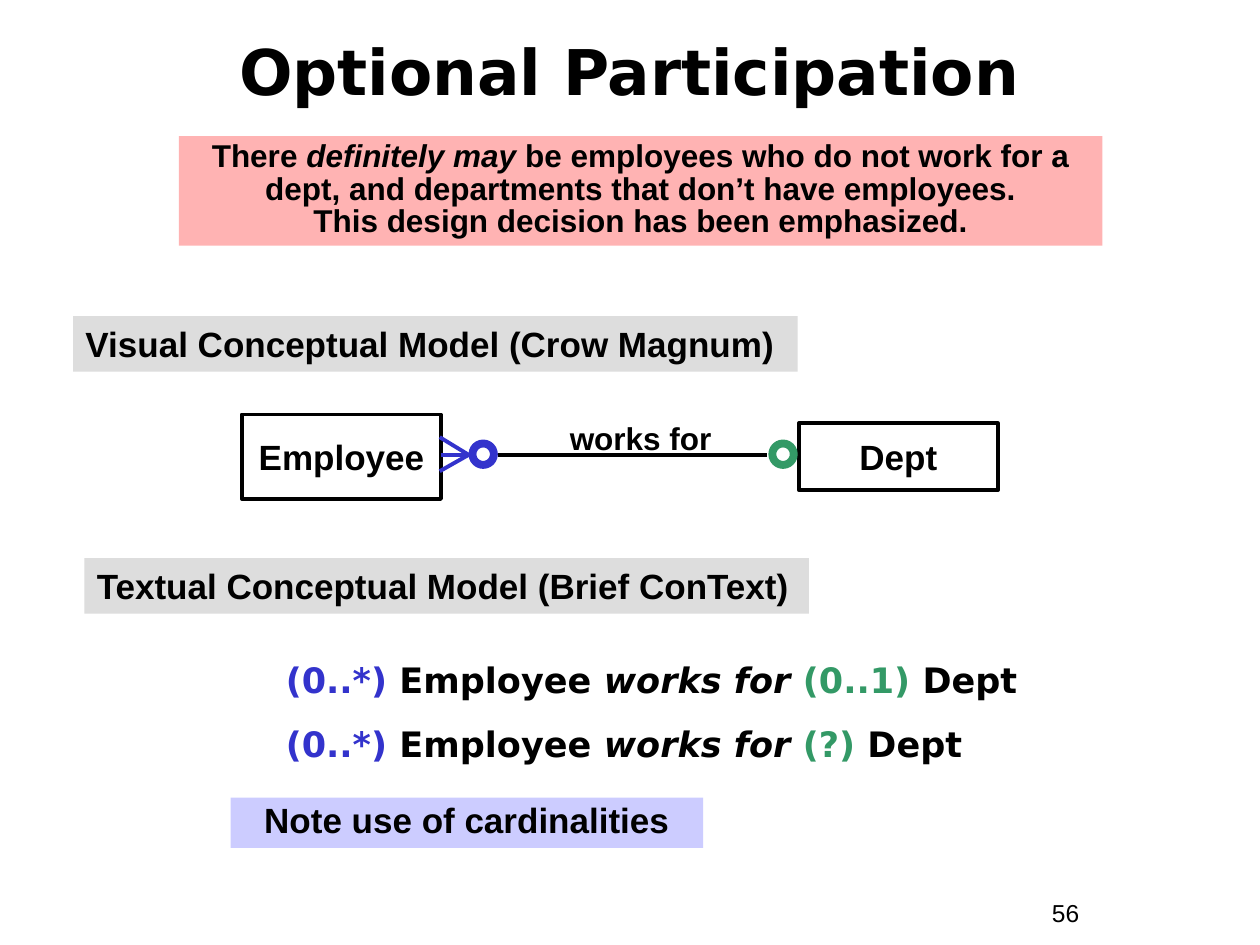
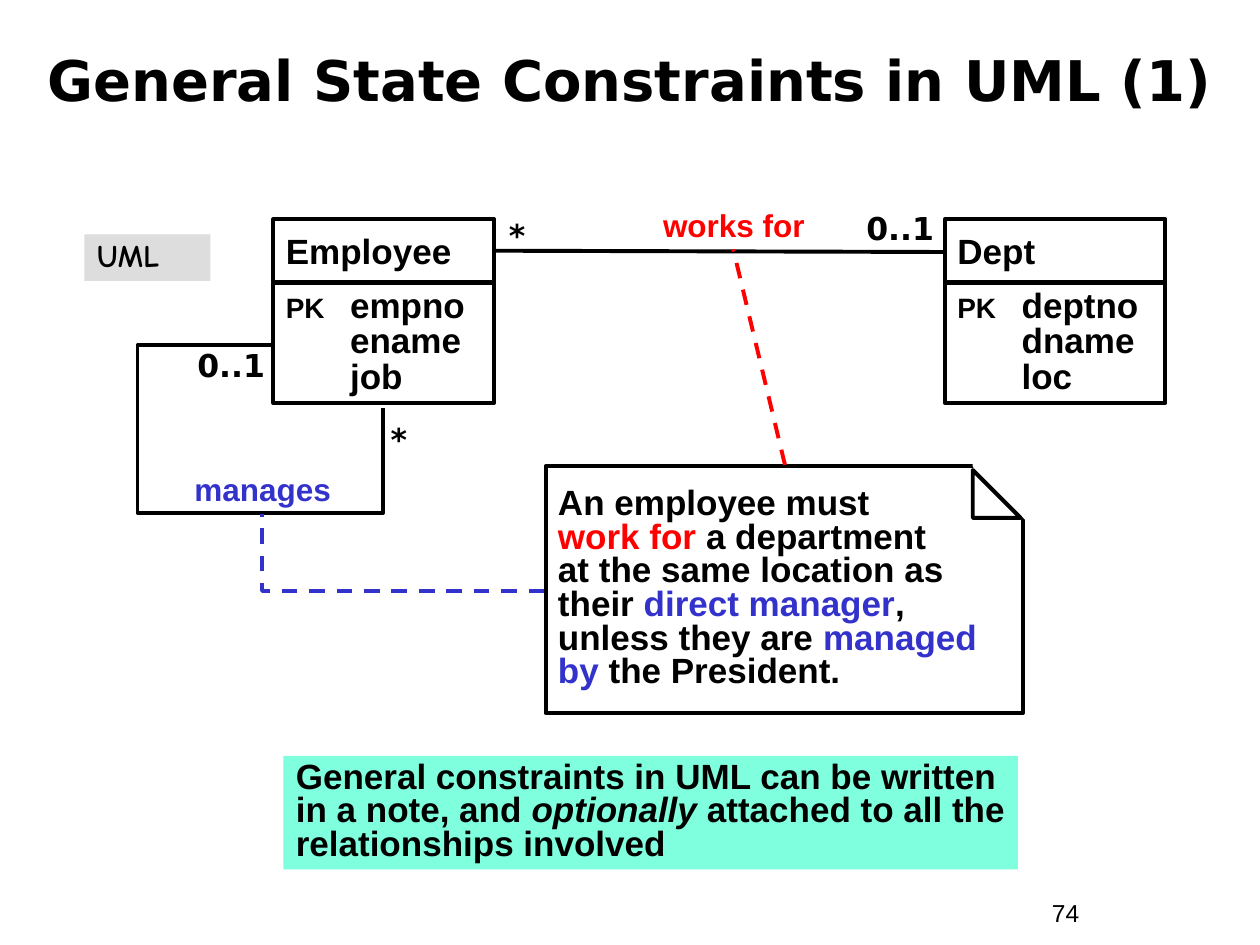
from dataclasses import dataclass

from lxml import etree
from pptx import Presentation
from pptx.dml.color import RGBColor
from pptx.enum.dml import MSO_LINE
from pptx.enum.shapes import MSO_CONNECTOR, MSO_SHAPE
from pptx.enum.text import MSO_ANCHOR, MSO_AUTO_SIZE, PP_ALIGN
from pptx.oxml.ns import qn
from pptx.util import Inches, Pt


@dataclass(frozen=True)
class Theme:
    black: str = "000000"
    white: str = "FFFFFF"
    red: str = "FF0000"
    blue: str = "3333CC"
    green: str = "339966"
    grey_band: str = "DDDDDD"
    pink_band: str = "FFB3B3"
    lilac_band: str = "CCCCFF"
    mint_band: str = "7FFFDD"
    sans: str = "Arial"
    display: str = "DejaVu Sans"
    hand: str = "Comic Neue"
    title: int = 36
    long_title: int = 32
    body: int = 20
    label: int = 18
    key: int = 16
    footer: int = 14
    stroke: float = 2.25
    ring: float = 4.5
    mask: float = 6


THEME = Theme()
ITALIC = {"italic": True}
RED = {"color": THEME.red}
BLUE = {"color": THEME.blue}
GREEN = {"color": THEME.green}


class SlideBuilder:
    def __init__(self, theme):
        self.theme = theme
        self.deck = Presentation()
        self.deck.slide_width, self.deck.slide_height = Inches(10), Inches(7.5)
        self.slide = None

    def start(self, title, number, box, size):
        self.slide = self.deck.slides.add_slide(self.deck.slide_layouts[5])
        heading = self.slide.shapes.title
        for side, value in zip(("left", "top", "width", "height"), box):
            setattr(heading, side, Inches(value))
        self.fill_text(heading, [[title]], size=size, font=self.theme.display,
                       align=PP_ALIGN.CENTER, anchor=MSO_ANCHOR.MIDDLE)
        self.text((8.25, 7.08, 0.92, 0.34), [[str(number)]],
                  size=self.theme.footer, bold=False)

    def fill_text(self, holder, paragraphs, size=None, font=None, color=None,
                  bold=True, align=PP_ALIGN.LEFT, anchor=MSO_ANCHOR.TOP,
                  spacing=1.0, gap=0, tab=None):
        """Each paragraph is a list of runs: a string, or (string, overrides)."""
        frame = holder.text_frame
        frame_format = {
            "word_wrap": True, "auto_size": MSO_AUTO_SIZE.NONE,
            "vertical_anchor": anchor,
            "margin_left": Inches(0.1), "margin_right": Inches(0.1),
            "margin_top": Inches(0.05), "margin_bottom": Inches(0.05),
        }
        for name, value in frame_format.items():
            setattr(frame, name, value)
        base = {"size": size or self.theme.body, "bold": bold, "italic": False,
                "name": font or self.theme.sans,
                "color": color or self.theme.black}
        for index, runs in enumerate(paragraphs):
            paragraph = frame.add_paragraph() if index else frame.paragraphs[0]
            paragraph.alignment = align
            paragraph.line_spacing = spacing
            paragraph.space_before = Pt(gap if index else 0)
            if tab:
                stops = etree.SubElement(paragraph._p.get_or_add_pPr(), qn("a:tabLst"))
                etree.SubElement(stops, qn("a:tab"), pos=str(Inches(tab)), algn="l")
            for run in runs:
                words, changes = (run, {}) if isinstance(run, str) else run
                self.add_run(paragraph, words, {**base, **changes})

    def add_run(self, paragraph, words, style):
        for index, line in enumerate(words.split("\n")):
            if index:
                paragraph.add_line_break()
            if not line:
                continue
            run = paragraph.add_run()
            run.text = line
            for name, value in style.items():
                if name == "color":
                    run.font.color.rgb = RGBColor.from_string(value)
                else:
                    setattr(run.font, name, Pt(value) if name == "size" else value)

    def text(self, box, paragraphs, **style):
        holder = self.slide.shapes.add_textbox(*map(Inches, box))
        self.fill_text(holder, paragraphs, **style)

    def label(self, box, words, **style):
        self.text(box, [[words]], **{"size": self.theme.label,
                                     "align": PP_ALIGN.CENTER, **style})

    def shape(self, box, paragraphs=None, kind=MSO_SHAPE.RECTANGLE, fill=None,
              line=None, weight=None, **style):
        shape = self.slide.shapes.add_shape(kind, *map(Inches, box))
        shape.shadow.inherit = False
        if fill:
            shape.fill.solid()
            shape.fill.fore_color.rgb = RGBColor.from_string(fill)
        else:
            shape.fill.background()
        if line:
            shape.line.color.rgb = RGBColor.from_string(line)
            shape.line.width = Pt(weight or self.theme.stroke)
        else:
            shape.line.fill.background()
        if paragraphs:
            self.fill_text(shape, paragraphs, **style)
        return shape

    def entity(self, box, name, **style):
        self.shape(box, [[name]], line=self.theme.black,
                   anchor=MSO_ANCHOR.MIDDLE, **style)

    def class_box(self, left, name, attributes):
        self.entity((left, 1.74, 1.75, 0.5), name)
        rows = [["\t" + attribute] for attribute in attributes]
        rows[0].insert(0, ("PK", {"size": self.theme.key}))
        self.shape((left, 2.25, 1.75, 0.95), rows, line=self.theme.black,
                   spacing=0.85, tab=0.51)

    def line(self, start, end, color=None, dashed=False, kind=MSO_CONNECTOR.STRAIGHT):
        connector = self.slide.shapes.add_connector(
            kind, *map(Inches, (*start, *end)))
        connector.line.color.rgb = RGBColor.from_string(color or self.theme.black)
        connector.line.width = Pt(self.theme.stroke)
        if dashed:
            connector.line.dash_style = MSO_LINE.DASH
        etree.SubElement(connector._element.spPr, qn("a:effectLst"))
        return connector

    def elbow(self, start, end, preset, adjustments=(), **style):
        """Draw a bent connector that leaves its start horizontally."""
        connector = self.line(start, end, kind=MSO_CONNECTOR.ELBOW, **style)
        properties = connector._element.spPr
        # A half turn with both flips inverted keeps the same route.
        frame = properties.find(qn("a:xfrm"))
        frame.set("rot", "10800000")
        for flip in ("flipH", "flipV"):
            frame.set(flip, "0" if frame.get(flip) == "1" else "1")
        geometry = properties.find(qn("a:prstGeom"))
        geometry.set("prst", preset)
        guides = geometry.find(qn("a:avLst"))
        if guides is None:
            guides = etree.SubElement(geometry, qn("a:avLst"))
        for number, share in enumerate(adjustments, 1):
            etree.SubElement(guides, qn("a:gd"), name=f"adj{number}",
                             fmla=f"val {round(share * 100000)}")

    def folded_note(self, paragraphs):
        black, white = self.theme.black, self.theme.white
        page = self.shape((4.33, 3.7, 3.79, 1.96), paragraphs, line=black,
                          anchor=MSO_ANCHOR.MIDDLE, spacing=0.8)
        cut = self.shape((7.76, 3.69, 0.44, 0.44), kind=MSO_SHAPE.RIGHT_TRIANGLE,
                         fill=white, line=white, weight=self.theme.mask)
        cut.rotation = 180
        fold = self.shape((7.72, 3.73, 0.38, 0.38), kind=MSO_SHAPE.RIGHT_TRIANGLE,
                          fill=white, line=black)
        self.slide.shapes.add_group_shape([page, cut, fold])


def optional_participation(page):
    theme = page.theme
    page.start("Optional Participation", 56, (0.33, 0.1, 9.33, 0.92), theme.title)
    centred = {"align": PP_ALIGN.CENTER}

    page.entity((6.34, 3.36, 1.58, 0.53), "Dept", **centred)
    page.entity((1.92, 3.29, 1.58, 0.67), "Employee", **centred)
    axis = 3.61
    for toe in (3.47, 3.74):
        page.line((3.72, axis), (3.49, toe), theme.blue)
    page.label((4.25, 3.28, 1.67, 0.4), "works for")
    for left, top, heading in (
            (0.58, 2.51, "Visual Conceptual Model (Crow Magnum)"),
            (0.67, 4.43, "Textual Conceptual Model (Brief ConText)")):
        page.shape((left, top, 5.75, 0.44), [[heading]], fill=theme.grey_band)

    sentences = [[("(0..*)", BLUE), " Employee ", ("works for ", ITALIC),
                  (cardinality, GREEN), " Dept"]
                 for cardinality in ("(0..1)", "(?)")]
    page.text((2.17, 5.18, 6.17, 1.45), sentences, font=theme.display, gap=12.5)

    page.line((3.5, axis), (3.75, axis), theme.blue)
    for left, color in ((3.75, theme.blue), (6.13, theme.green)):
        page.shape((left, 3.52, 0.17, 0.17), kind=MSO_SHAPE.OVAL,
                   line=color, weight=theme.ring)
    page.line((3.95, axis), (6.09, axis))

    page.shape((1.83, 6.33, 3.75, 0.4), [["Note use of cardinalities"]],
               fill=theme.lilac_band, spacing=0.9, **centred)
    page.shape((1.42, 1.08, 7.33, 0.87),
               [["There ", ("definitely may", ITALIC),
                 " be employees who do not work for a dept, and departments "
                 "that don’t have employees.\n"
                 "This design decision has been emphasized."]],
               fill=theme.pink_band, size=theme.label, spacing=0.85, **centred)


def general_state_constraints(page):
    theme = page.theme
    page.start("General State Constraints in UML (1)", 74,
               (0.25, 0.17, 9.5, 0.92), theme.long_title)
    page.shape((2.25, 6, 5.83, 0.9),
               [["General constraints in UML can be written in a note, and ",
                 ("optionally", ITALIC),
                 " attached to all the relationships involved"]],
               fill=theme.mint_band, spacing=0.8)
    page.shape((0.67, 1.86, 1, 0.37), [["UML"]], fill=theme.grey_band,
               size=theme.label, font=theme.hand, spacing=0.9)

    page.class_box(2.17, "Employee", ("empno", "ename", "job"))
    page.class_box(7.5, "Dept", ("deptno", "dname", "loc"))
    page.line((3.93, 1.99), (7.49, 2))
    page.elbow((2.15, 2.74), (3.04, 3.24), "bentConnector4", (-1.19, 2.66))

    for left, top, name, color in ((4.99, 1.63, "works for", theme.red),
                                   (1.25, 3.73, "manages", theme.blue)):
        page.label((left, top, 1.67, 0.36), name, color=color, spacing=0.85)
    for left, top, multiplicity, spacing in (
            (3.69, 1.7, "*", 0.9), (6.73, 1.61, "0..1", 1.0),
            (1.42, 2.7, "0..1", 1.0), (2.75, 3.32, "*", 0.9)):
        page.label((left, top, 0.83, 0.4), multiplicity,
                   font=theme.display, spacing=spacing)

    page.folded_note([["An employee must\n", ("work for", RED),
                       " a department\nat the same location as their ",
                       ("direct manager", BLUE), ", unless they are ",
                       ("managed by", BLUE), " the President."]])
    page.line((6.23, 3.69), (5.82, 1.98), theme.red, dashed=True)
    page.elbow((4.32, 4.69), (2.08, 4.08), "bentConnector2",
               color=theme.blue, dashed=True)


def main():
    page = SlideBuilder(THEME)
    optional_participation(page)
    general_state_constraints(page)
    page.deck.save("out.pptx")


if __name__ == "__main__":
    main()
